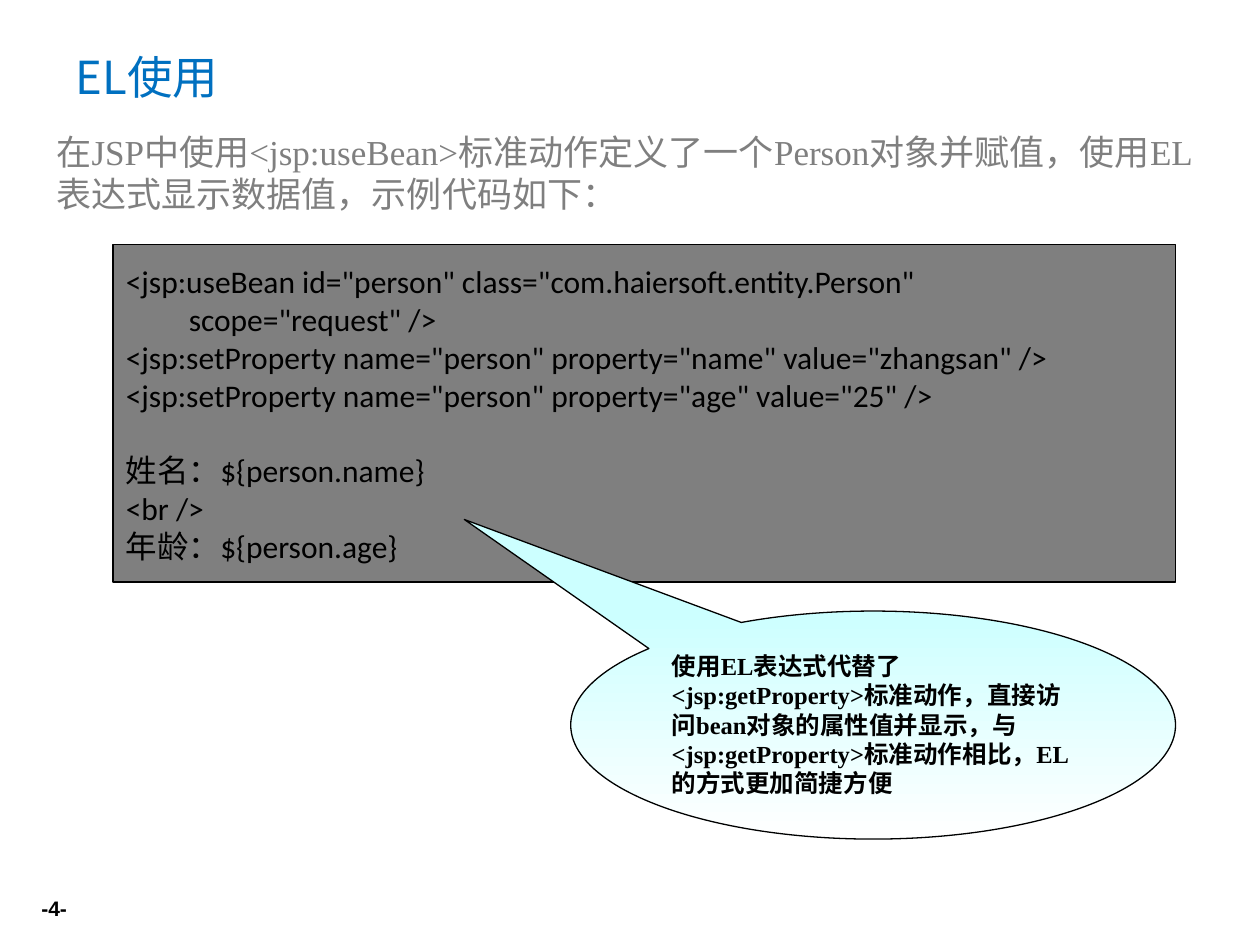
from pptx import Presentation
from pptx.dml.color import RGBColor
from pptx.enum.shapes import MSO_SHAPE
from pptx.enum.text import MSO_ANCHOR, PP_ALIGN
from pptx.util import Inches, Pt

COLORS = {"title": "0070C0", "grey": "7F7F7F", "black": "000000",
          "aqua": "CCFFFF", "white": "FFFFFF"}
CODE = """<jsp:useBean id="person" class="com.haiersoft.entity.Person"
\tscope="request" />
<jsp:setProperty name="person" property="name" value="zhangsan" />
<jsp:setProperty name="person" property="age" value="25" />

姓名：${person.name}
<br />
年龄：${person.age}"""


def color(name):
    return RGBColor.from_string(COLORS[name])


def write(shape, text, font, size, ink, anchor=MSO_ANCHOR.TOP,
          align=PP_ALIGN.LEFT, bold=False, before=0, wrap=True):
    frame = shape.text_frame
    frame.word_wrap = wrap
    frame.vertical_anchor = anchor
    frame.text = text
    for paragraph in frame.paragraphs:
        paragraph.alignment = align
        paragraph.space_before = Pt(before)
        paragraph.font.name = font
        paragraph.font.size = Pt(size)
        paragraph.font.bold = bold
        paragraph.font.color.rgb = color(ink)


presentation = Presentation()
presentation.slide_width, presentation.slide_height = Inches(10), Inches(7.5)
slide = presentation.slides.add_slide(presentation.slide_layouts[5])
shapes = slide.shapes

title = shapes.title
title.left, title.top = Inches(0.5), Inches(0.3)
title.width, title.height = Inches(9), Inches(0.61)
write(title, "EL使用", "Noto Sans CJK SC", 26, "title", MSO_ANCHOR.MIDDLE)

intro = shapes.add_textbox(Inches(0.35), Inches(0.99), Inches(9.3), Inches(5.91))
write(intro, "在JSP中使用<jsp:useBean>标准动作定义了一个Person对象并赋值，"
      "使用EL表达式显示数据值，示例代码如下：", "Times New Roman", 20, "grey")

page_number = shapes.add_textbox(Inches(0), Inches(7.06), Inches(0.63), Inches(0.29))
write(page_number, "-4-", "Arial", 12, "black", MSO_ANCHOR.MIDDLE,
      PP_ALIGN.RIGHT, bold=True)

code_box = shapes.add_shape(MSO_SHAPE.RECTANGLE, Inches(0.9), Inches(1.94),
                            Inches(8.43), Inches(2.68))
code_box.fill.solid()
code_box.fill.fore_color.rgb = color("grey")
write(code_box, CODE, "Calibri", 18, "black", MSO_ANCHOR.MIDDLE, wrap=False)

callout = shapes.add_shape(MSO_SHAPE.OVAL_CALLOUT, Inches(4.53), Inches(4.85),
                           Inches(4.8), Inches(1.81))
callout.adjustments[0] = -0.676
callout.adjustments[1] = -0.902
callout.fill.gradient()
callout.fill.gradient_angle = 270
for stop, position, name in zip(callout.fill.gradient_stops, (0, 1), ("aqua", "white")):
    stop.position = position
    stop.color.rgb = color(name)
write(callout, "使用EL表达式代替了<jsp:getProperty>标准动作，直接访问bean对象的属性值并显示，"
      "与<jsp:getProperty>标准动作相比，EL的方式更加简捷方便",
      "Times New Roman", 14, "black", bold=True, before=3.5)

for shape, width in ((code_box, 1), (callout, 0.75)):
    shape.shadow.inherit = False
    shape.line.color.rgb = color("black")
    shape.line.width = Pt(width)

presentation.save("out.pptx")
